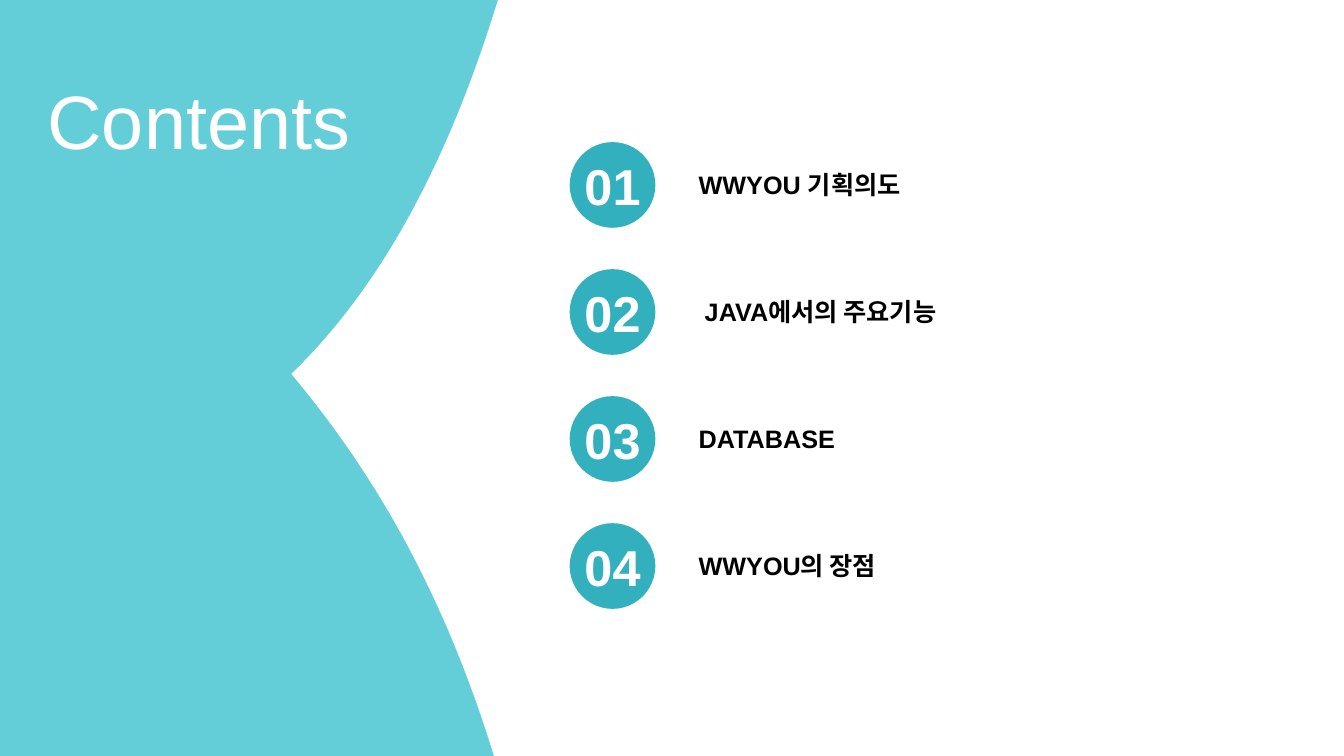
from pptx import Presentation
from pptx.dml.color import RGBColor
from pptx.enum.shapes import MSO_SHAPE
from pptx.enum.text import MSO_ANCHOR, MSO_AUTO_SIZE, PP_ALIGN
from pptx.util import Inches, Pt

COLORS = {"background": "64CED8", "panel": "FFFFFF", "badge": "32B0BE",
          "light": "FFFFFF", "dark": "000000"}
FONT = "Arial"
SLIDE_WIDTH, SLIDE_HEIGHT = 13.33, 7.5

# Topic and left edge of its label
TOPICS = [("WWYOU 기획의도", 6.81), ("JAVA에서의 주요기능", 6.87),
          ("DATABASE", 6.81), ("WWYOU의 장점", 6.81)]
FIRST_TOP, ROW_PITCH = 1.41, 1.26
BADGE_LEFT, BADGE_SIZE = 5.65, 0.85
LABEL_WIDTH, LABEL_HEIGHT = 5.6, 0.4

# Curved left edge of the panel, from bottom to tip and from tip to top
LOWER_CURVE = [(4.84, 7.31), (4.39, 5.92), (3.77, 4.76), (2.89, 3.71)]
UPPER_CURVE = [(2.89, 3.71), (3.74, 2.89), (4.38, 1.72), (4.85, 0.28)]
CURVE_STEPS = 40


def rgb(name):
    return RGBColor.from_string(COLORS[name])


def fill_plain(shape, color):
    shape.shadow.inherit = False
    shape.fill.solid()
    shape.fill.fore_color.rgb = rgb(color)
    shape.line.fill.background()


def write(frame, text, size, color, bold=False, align=PP_ALIGN.LEFT):
    frame.text = text
    paragraph = frame.paragraphs[0]
    paragraph.alignment = align
    font = paragraph.runs[0].font
    font.name, font.size, font.bold = FONT, Pt(size), bold
    font.color.rgb = rgb(color)


def bezier_points(controls):
    """Sample a cubic Bezier curve evenly in its parameter."""
    points = []
    for step in range(CURVE_STEPS + 1):
        t = step / CURVE_STEPS
        weights = ((1 - t) ** 3, 3 * t * (1 - t) ** 2, 3 * t ** 2 * (1 - t), t ** 3)
        points.append(tuple(sum(w * point[axis] for w, point in zip(weights, controls))
                            for axis in (0, 1)))
    return points


def add_panel(slide):
    outline = [(4.94, 0), (SLIDE_WIDTH, 0), (SLIDE_WIDTH, SLIDE_HEIGHT),
               (4.9, SLIDE_HEIGHT)]
    outline += bezier_points(LOWER_CURVE) + bezier_points(UPPER_CURVE)[1:]
    corners = [(Inches(x), Inches(y)) for x, y in outline]
    builder = slide.shapes.build_freeform(*corners[0])
    builder.add_line_segments(corners[1:], close=True)
    fill_plain(builder.convert_to_shape(), "panel")


def add_title(slide, text):
    title = slide.shapes.title
    title.left, title.top = Inches(0.37), Inches(0.68)
    title.width, title.height = Inches(3.82), Inches(1.01)
    frame = title.text_frame
    frame.auto_size = MSO_AUTO_SIZE.NONE
    frame.vertical_anchor = MSO_ANCHOR.MIDDLE
    write(frame, text, 54, "light")


def add_badge(slide, number, top):
    badge = slide.shapes.add_shape(
        MSO_SHAPE.OVAL, Inches(BADGE_LEFT), Inches(top),
        Inches(BADGE_SIZE), Inches(BADGE_SIZE))
    fill_plain(badge, "badge")
    frame = badge.text_frame
    frame.margin_left = frame.margin_right = 0
    frame.margin_top = frame.margin_bottom = 0
    frame.word_wrap = False
    frame.vertical_anchor = MSO_ANCHOR.MIDDLE
    write(frame, f"{number:02d}", 36, "light", True, PP_ALIGN.CENTER)


def add_label(slide, topic, left, row_top):
    top = row_top + (BADGE_SIZE - LABEL_HEIGHT) / 2
    label = slide.shapes.add_textbox(
        Inches(left), Inches(top), Inches(LABEL_WIDTH), Inches(LABEL_HEIGHT))
    frame = label.text_frame
    frame.word_wrap = True
    frame.margin_left = frame.margin_right = Inches(0.12)
    write(frame, topic, 18, "dark", True)


def main():
    presentation = Presentation()
    presentation.slide_width = Inches(SLIDE_WIDTH)
    presentation.slide_height = Inches(SLIDE_HEIGHT)
    slide = presentation.slides.add_slide(presentation.slide_layouts[5])
    slide.background.fill.solid()
    slide.background.fill.fore_color.rgb = rgb("background")

    add_panel(slide)
    add_title(slide, "Contents")
    for index, (topic, left) in enumerate(TOPICS):
        row_top = FIRST_TOP + index * ROW_PITCH
        add_badge(slide, index + 1, row_top)
        add_label(slide, topic, left, row_top)
    presentation.save("out.pptx")


if __name__ == "__main__":
    main()
